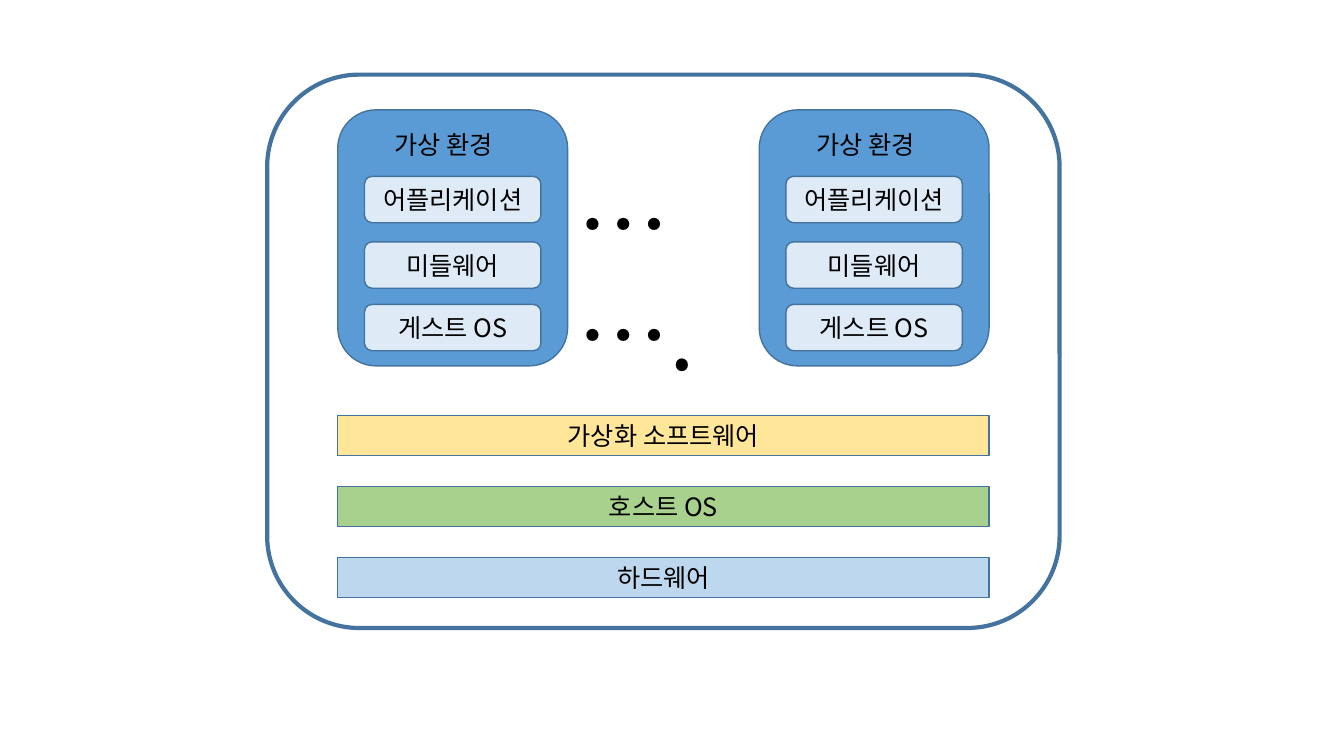
"""Build a slide of the layers of host virtualization."""
from lxml.etree import SubElement
from pptx import Presentation
from pptx.dml.color import RGBColor
from pptx.enum.shapes import MSO_SHAPE
from pptx.enum.text import MSO_ANCHOR, PP_ALIGN
from pptx.oxml.ns import qn
from pptx.util import Inches, Pt

FONT = "Noto Sans CJK KR"
EDGE, INK, WHITE = "43739E", "000000", "FFFFFF"
ENV_FILL, PART_FILL = "5B9BD5", "DEEBF7"
ENV_NAME = "가상 환경"
PARTS = [("어플리케이션", 1.75), ("미들웨어", 2.4), ("게스트 OS", 3.02)]
LAYERS = [("가상화 소프트웨어", "FFE699"), ("호스트 OS", "A9D18E"), ("하드웨어", "BDD7EE")]
DOTS = "……."

LEFT, WIDE = 3.35, 6.46
ENV_W, ENV_H, ENV_TOP = 2.28, 2.54, 1.09
PART_W, PART_H = 1.75, 0.46
NAME_W, NAME_TOP = 1.35, 1.23
LAYER_TOP, LAYER_H, LAYER_STEP = 4.12, 0.4, 0.705


def color(code):
    return RGBColor.from_string(code)


def write(frame, text, size, align):
    frame.word_wrap = True
    para = frame.paragraphs[0]
    para.alignment = align
    para.line_spacing = Pt(size * 1.2)
    run = para.add_run()
    run.text = text
    run.font.name = FONT
    run.font.size = Pt(size)
    run.font.color.rgb = color(INK)
    SubElement(run.font._element, qn("a:ea"), typeface=FONT)


def block(kind, area, fill, text="", line=1):
    shape = slide.shapes.add_shape(kind, *map(Inches, area))
    shape.shadow.inherit = False
    shape.fill.solid()
    shape.fill.fore_color.rgb = color(fill)
    shape.line.color.rgb = color(EDGE)
    shape.line.width = Pt(line)
    if text:
        shape.text_frame.vertical_anchor = MSO_ANCHOR.MIDDLE
        write(shape.text_frame, text, 18, PP_ALIGN.CENTER)


def label(area, text, size):
    box = slide.shapes.add_textbox(*map(Inches, area))
    write(box.text_frame, text, size, PP_ALIGN.LEFT)


deck = Presentation()
deck.slide_width, deck.slide_height = Inches(13.33), Inches(7.5)
slide = deck.slides.add_slide(deck.slide_layouts[6])

ROUND, RECT = MSO_SHAPE.ROUNDED_RECTANGLE, MSO_SHAPE.RECTANGLE
block(ROUND, (2.65, 0.74, 7.86, 5.49), WHITE, line=3)

for row, (text, fill) in enumerate(LAYERS):
    block(RECT, (LEFT, LAYER_TOP + row * LAYER_STEP, WIDE, LAYER_H), fill, text)

for left in (LEFT, LEFT + WIDE - ENV_W):
    block(ROUND, (left, ENV_TOP, ENV_W, ENV_H), ENV_FILL)
    for text, top in PARTS:
        block(ROUND, (left + (ENV_W - PART_W) / 2, top, PART_W, PART_H), PART_FILL, text)
    label((left + (ENV_W - NAME_W) / 2, NAME_TOP, NAME_W, 0.4), ENV_NAME, 18)

label((LEFT + ENV_W, 1.61, WIDE - 2 * ENV_W, 1.21), DOTS, 66)

deck.save("out.pptx")
